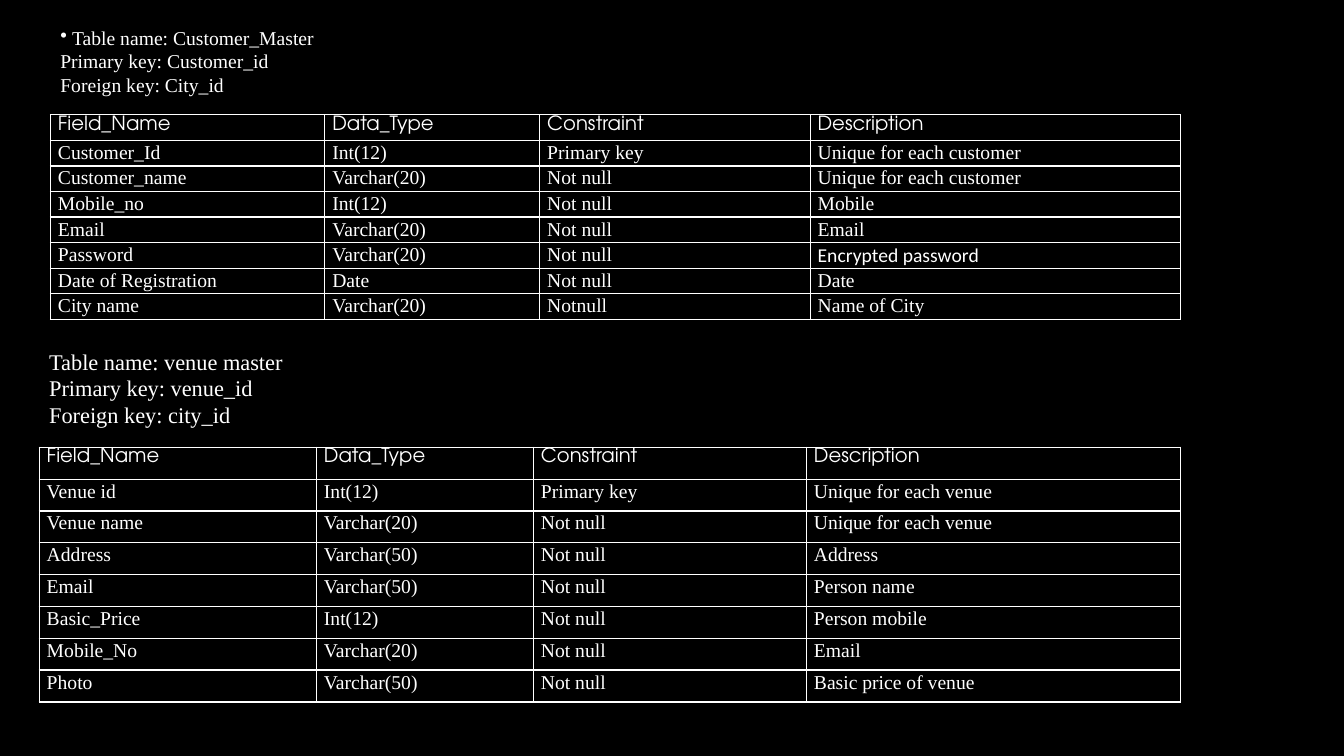
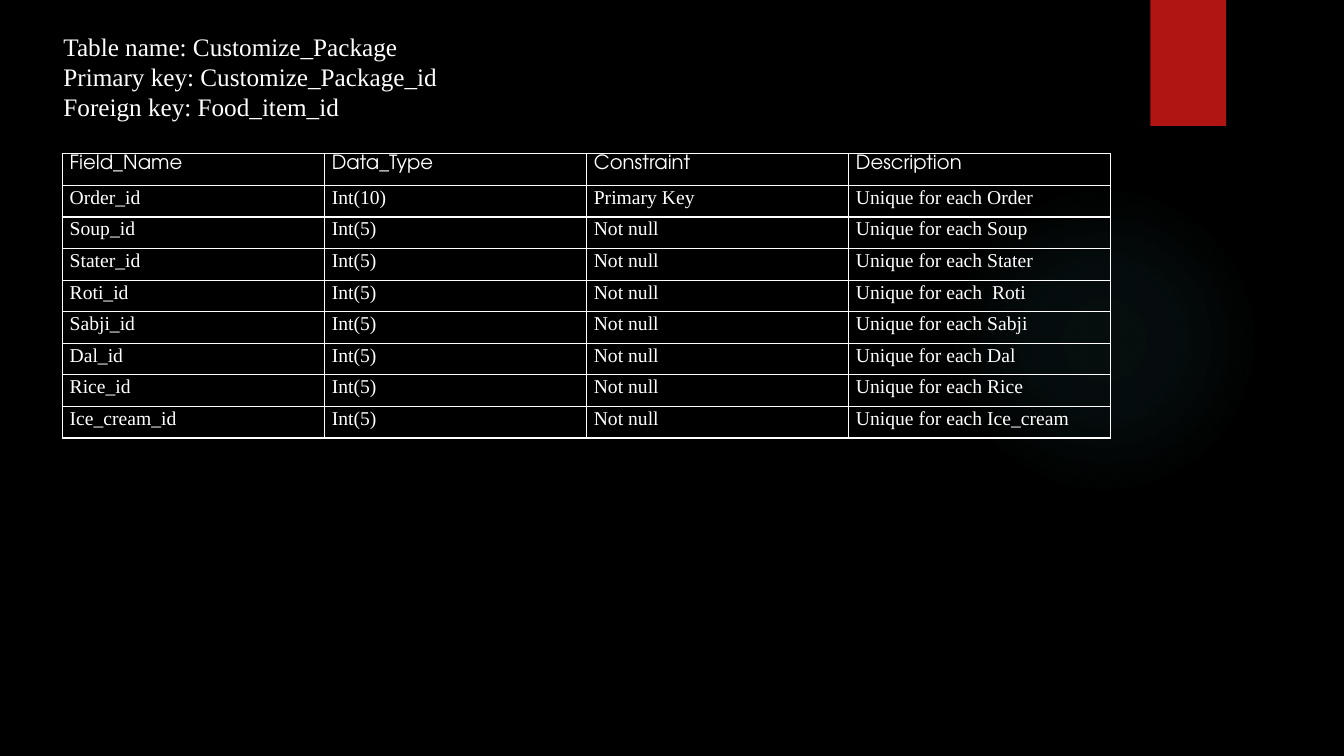
import pptx
import pptx.util
import pptx.dml.color
import pptx.enum.shapes
import pptx.enum.text
import pptx.oxml
import pptx.oxml.ns

Pt = pptx.util.Pt
WHITE, BLACK, RED, GLOW = "FFFFFF", "000000", "B01513", "50B9C1"
BODY_FONT, HEADER_FONT = "Times New Roman", "TeX Gyre Adventor"
HEADER = ("Field_Name", "Data_Type", "Constraint", "Description")
CELL_SIZE = 14

CUSTOMER_FIELDS = [
    ("Customer_Id", "Int(12)", "Primary key", "Unique for each customer"),
    ("Customer_name", "Varchar(20)", "Not null", "Unique for each customer"),
    ("Mobile_no", "Int(12)", "Not null", "Mobile"),
    ("Email", "Varchar(20)", "Not null", "Email"),
    ("Password", "Varchar(20)", "Not null", "Encrypted password"),
    ("Date of Registration", "Date", "Not null", "Date"),
    ("City name", "Varchar(20)", "Notnull", "Name of City"),
]
VENUE_FIELDS = [
    ("Venue id", "Int(12)", "Primary key", "Unique for each venue"),
    ("Venue name", "Varchar(20)", "Not null", "Unique for each venue"),
    ("Address", "Varchar(50)", "Not null", "Address"),
    ("Email", "Varchar(50)", "Not null", "Person name"),
    ("Basic_Price", "Int(12)", "Not null", "Person mobile"),
    ("Mobile_No", "Varchar(20)", "Not null", "Email"),
    ("Photo", "Varchar(50)", "Not null", "Basic price of venue"),
]
PACKAGE_FIELDS = [("Order_id", "Int(10)", "Primary Key", "Unique for each Order")] + [
    (field, "Int(5)", "Not null", description)
    for field, description in [
        ("Soup_id", "Unique for each Soup"),
        ("Stater_id", "Unique for each Stater"),
        ("Roti_id", "Unique for each  Roti"),
        ("Sabji_id", "Unique for each Sabji"),
        ("Dal_id", "Unique for each Dal"),
        ("Rice_id", "Unique for each Rice"),
        ("Ice_cream_id", "Unique for each Ice_cream"),
    ]
]


def color(hex_string):
    return pptx.dml.color.RGBColor.from_string(hex_string)


def xml(markup):
    """Parse one drawing element, given without its namespace."""
    tag, rest = markup[1:].split(" ", 1)
    return pptx.oxml.parse_xml(f"<{tag} {pptx.oxml.ns.nsdecls('a')} {rest}")


def style(font, name, size):
    font.name, font.size = name, Pt(size)
    font.color.rgb = color(WHITE)


def add_keys(slide, box, lines, size, bulleted=False):
    """Table name, primary key and foreign key above a table."""
    keys = slide.shapes.add_textbox(*map(Pt, box)).text_frame
    keys.word_wrap = True
    keys.auto_size = pptx.enum.text.MSO_AUTO_SIZE.SHAPE_TO_FIT_TEXT
    keys.text = "\n".join(lines)
    if bulleted:
        keys.vertical_anchor = pptx.enum.text.MSO_ANCHOR.MIDDLE
        properties = keys.paragraphs[0]._p.get_or_add_pPr()
        hang = Pt(8.4)
        properties.set("marL", str(hang))
        properties.set("indent", str(-hang))
        properties.append(xml('<a:buChar char="•"/>'))
    for line in keys.paragraphs:
        style(line.runs[0].font, BODY_FONT, size)


def fill_cell(cell, text, font_name, spacing):
    cell.text = text
    cell.margin_left = cell.margin_right = Pt(5.4)
    cell.margin_top = cell.margin_bottom = 0
    # White rules on all four sides, no fill
    properties = cell._tc.get_or_add_tcPr()
    for side in "LRTB":
        properties.append(xml(
            f'<a:ln{side} w="{Pt(1)}"><a:solidFill><a:srgbClr val="{WHITE}"/>'
            f'</a:solidFill></a:ln{side}>'))
    cell.fill.background()
    paragraph = cell.text_frame.paragraphs[0]
    paragraph.line_spacing = spacing
    style(paragraph.runs[0].font, font_name, CELL_SIZE)


def add_fields(slide, left, top, widths, row_height, fields, other_fonts=None):
    """Field table; other_fonts maps a cell's text to its own font."""
    rows = [HEADER] + fields
    table = slide.shapes.add_table(
        len(rows), len(HEADER), Pt(left), Pt(top),
        Pt(sum(widths)), Pt(row_height * len(rows))).table
    table.first_row = table.horz_banding = False
    for column, width in zip(table.columns, widths):
        column.width = Pt(width)
    for r, row in enumerate(rows):
        table.rows[r].height = Pt(row_height)
        for c, text in enumerate(row):
            if r == 0:
                fill_cell(table.cell(r, c), text, HEADER_FONT, 1.06)
            else:
                font_name = (other_fonts or {}).get(text, BODY_FONT)
                fill_cell(table.cell(r, c), text, font_name, 1.07)
    table.cell(0, len(HEADER) - 1).text_frame.paragraphs[0].space_after = Pt(8)


def add_decor(slide, glow_box, tab_box):
    """Faint round glow and the red tab at the top edge."""
    kinds = pptx.enum.shapes.MSO_SHAPE
    glow = slide.shapes.add_shape(kinds.OVAL, *map(Pt, glow_box))
    tab = slide.shapes.add_shape(kinds.RECTANGLE, *map(Pt, tab_box))
    for part in (glow, tab):
        part.shadow.inherit = False
        part.line.fill.background()
    tab.fill.solid()
    tab.fill.fore_color.rgb = color(RED)
    stops = "".join(
        f'<a:gs pos="{position}000"><a:srgbClr val="{GLOW}">'
        f'<a:alpha val="{alpha}000"/></a:srgbClr></a:gs>'
        for position, alpha in [(0, 7), (36, 6), (69, 0)])
    center = " ".join(f'{side}="50000"' for side in "ltrb")
    glow._element.spPr.find(pptx.oxml.ns.qn("a:prstGeom")).addnext(xml(
        f'<a:gradFill rotWithShape="1"><a:gsLst>{stops}</a:gsLst>'
        f'<a:path path="circle"><a:fillToRect {center}/></a:path></a:gradFill>'))


def build_masters(slide):
    # Customer table
    add_keys(slide, (36, 14.4, 267, 58.3),
             ["Table name: Customer_Master", "Primary key: Customer_id",
              "Foreign key: City_id"], 14, bulleted=True)
    add_fields(slide, 36, 82, (196, 153.5, 193.2, 264.8), 18.27, CUSTOMER_FIELDS,
               {"Encrypted password": "Calibri"})
    # Venue table
    add_keys(slide, (28, 244.8, 265.7, 65.5),
             ["Table name: venue master", "Primary key: venue_id",
              "Foreign key: city_id"], 16)
    add_fields(slide, 28, 319.5, (198, 155, 195, 267.4), 22.75, VENUE_FIELDS)


def build_package(slide):
    add_decor(slide, (677.5, 131.8, 221.8, 221.8), (821.8, 0, 54, 90))
    add_keys(slide, (38.2, 18.7, 480, 72.7),
             ["Table name: Customize_Package", "Primary key: Customize_Package_id",
              "Foreign key: Food_item_id"], 18)
    add_fields(slide, 44.4, 109.8, (187.2,) * 4, 22.58, PACKAGE_FIELDS)


def main():
    deck = pptx.Presentation()
    deck.slide_width, deck.slide_height = Pt(960), Pt(540)
    backdrop = deck.slide_master.background.fill
    backdrop.solid()
    backdrop.fore_color.rgb = color(BLACK)
    for build in (build_masters, build_package):
        build(deck.slides.add_slide(deck.slide_layouts[6]))
    deck.save("out.pptx")


if __name__ == "__main__":
    main()
